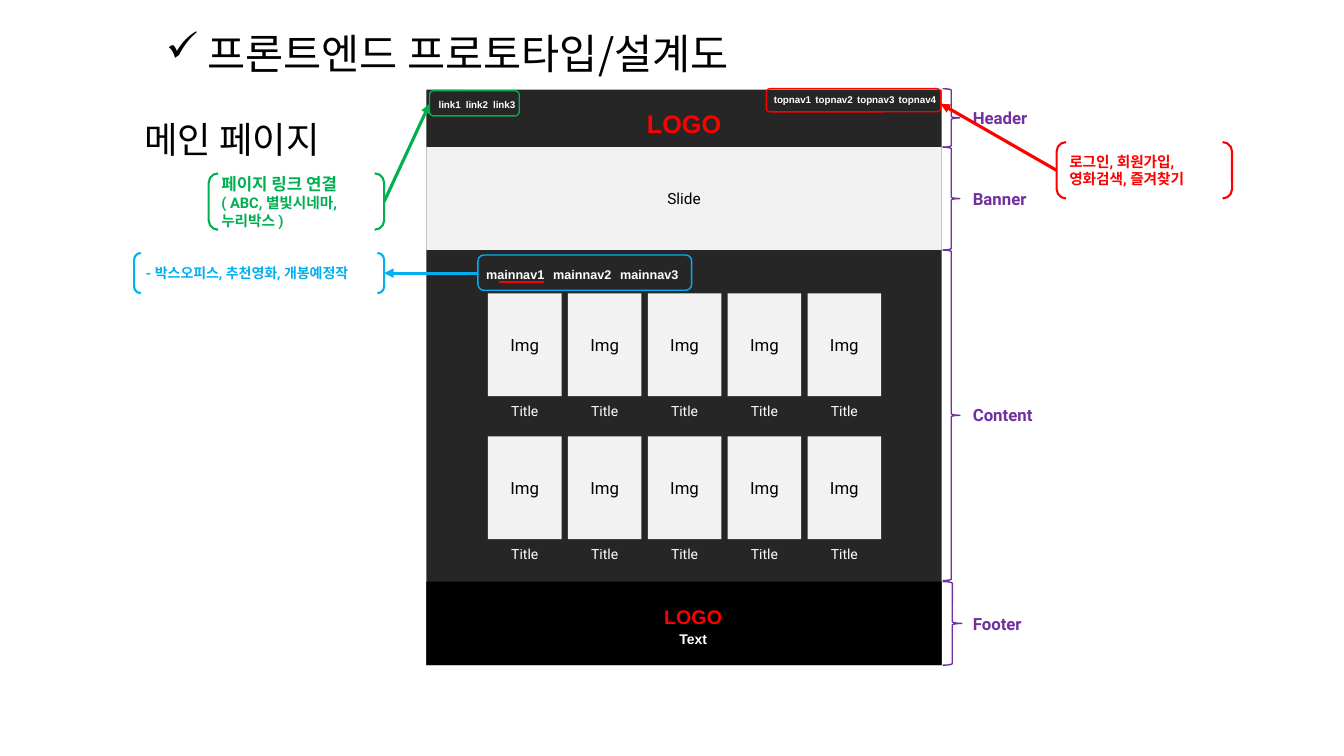
from lxml.etree import SubElement as Sub
from pptx import Presentation
from pptx.dml.color import RGBColor as Rgb
from pptx.enum.shapes import MSO_CONNECTOR as Conn, MSO_SHAPE as Kind
from pptx.enum.text import MSO_ANCHOR as Anchor, PP_ALIGN as Align
from pptx.oxml.ns import qn
from pptx.util import Inches, Pt

WHITE, BLACK, DARK, PALE = "FFFFFF", "000000", "262626", "F2F2F2"
RED, GREEN, BLUE, PURPLE = "FF0000", "00B050", "00B0F0", "7030A0"
HANGUL = "Noto Sans CJK KR"


def color(code):
    """Turn a hex string into a colour."""
    return Rgb.from_string(code)


def write(frame, lines, font, tint, bold=False, align=Align.LEFT):
    """Fill a text frame with (text, size) lines."""
    frame.word_wrap = True
    for i, (text, size) in enumerate(lines):
        para = frame.add_paragraph() if i else frame.paragraphs[0]
        para.alignment = align
        run = para.add_run()
        run.text = text
        run.font.size = Pt(size)
        run.font.bold = bold
        run.font.name = font
        run.font.color.rgb = color(tint)
        Sub(run.font._element, qn("a:ea")).set("typeface", HANGUL)


def label(slide, box, text, size, font, tint, bold=False, align=Align.LEFT):
    """Add a one-line text box."""
    frame = slide.shapes.add_textbox(*map(Inches, box)).text_frame
    if align == Align.CENTER:
        frame.margin_left = frame.margin_right = 0
    write(frame, [(text, size)], font, tint, bold, align)
    return frame


def block(slide, box, fill, text="", size=12):
    """Add a filled rectangle with an optional centred caption."""
    shape = slide.shapes.add_shape(Kind.RECTANGLE, *map(Inches, box))
    shape.shadow.inherit = False
    shape.fill.solid()
    shape.fill.fore_color.rgb = color(fill)
    shape.line.fill.background()
    if text:
        shape.text_frame.vertical_anchor = Anchor.MIDDLE
        write(shape.text_frame, [(text, size)], "Roboto", BLACK, align=Align.CENTER)


def outline(slide, kind, box, tint, width=1, lines=()):
    """Add an unfilled shape with an optional bold note inside."""
    shape = slide.shapes.add_shape(kind, *map(Inches, box))
    shape.shadow.inherit = False
    shape.fill.background()
    shape.line.color.rgb = color(tint)
    shape.line.width = Pt(width)
    if lines:
        shape.text_frame.vertical_anchor = Anchor.MIDDLE
        write(shape.text_frame, lines, "Roboto", tint, True)


def stroke(slide, start, end, tint, width=2.25, arrow=True):
    """Draw a straight line, with an arrowhead at its end if wanted."""
    line = slide.shapes.add_connector(Conn.STRAIGHT, *map(Inches, start + end))
    line.line.color.rgb = color(tint)
    line.line.width = Pt(width)
    if arrow:
        Sub(line.line._get_or_add_ln(), qn("a:tailEnd")).set("type", "triangle")
    Sub(line._element.spPr, qn("a:effectLst"))


def title(slide):
    """Add the check-marked heading and the page name."""
    frame = label(slide, (1.06, 0.08, 6.76, 0.95), "프론트엔드 프로토타입/설계도",
                  29.6, HANGUL, BLACK, align=Align.CENTER)
    frame.vertical_anchor = Anchor.MIDDLE
    para = frame.paragraphs[0]
    props = para._p.get_or_add_pPr()
    props.set("marL", str(Inches(0.41)))
    props.set("indent", str(-Inches(0.41)))
    Sub(props, qn("a:buChar")).set("char", "✓")
    para.line_spacing = 0.9
    label(slide, (1.33, 1.11, 3.58, 0.54), "메인 페이지", 26, HANGUL, BLACK)


def menu(slide, name, count, box, step, size):
    """Add a row of numbered menu entries."""
    left, top, width, height = box
    for i in range(count):
        label(slide, (left + i * step, top, width, height), f"{name}{i + 1}",
              size, "Arial", WHITE, True, Align.CENTER)


def cards(slide):
    """Lay out the two rows of image cards."""
    for row in range(2):
        for col in range(5):
            left, top = 4.84 + col * 3.17 / 4, 2.91 + row * 1.42
            block(slide, (left, top, 0.73, 1.02), PALE, "Img")
            label(slide, (left, top + 1.03, 0.73, 0.27), "Title", 10,
                  "Roboto", WHITE, align=Align.CENTER)


def page(slide):
    """Draw the web page mock-up."""
    block(slide, (4.23, 0.89, 5.11, 5.71), DARK)
    block(slide, (4.23, 1.46, 5.11, 1.02), PALE, "Slide", 11)
    block(slide, (4.23, 5.77, 5.11, 0.83), BLACK)
    for box, text, size, tint in (
        ((6.23, 1.03, 1.11, 0.4), "LOGO", 18, RED),
        ((6.49, 5.95, 0.77, 0.26), "LOGO", 14, RED),
        ((6.49, 6.21, 0.77, 0.21), "Text", 10, WHITE),
    ):
        label(slide, box, text, size, "Arial", tint, True, Align.CENTER)
    cards(slide)
    menu(slide, "mainnav", 3, (4.49, 2.6, 1.24, 0.25), 0.665, 9)
    menu(slide, "topnav", 4, (7.45, 0.88, 0.82, 0.22), 0.413, 7)
    menu(slide, "link", 3, (4.1, 0.93, 0.72, 0.22), 0.27, 7)


def parts(slide):
    """Brace and name each part of the page."""
    for name, top, high, wide in (
        ("Header", 0.88, 0.58, 0.17),
        ("Banner", 1.46, 1.02, 0.17),
        ("Content", 2.48, 3.28, 0.17),
        ("Footer", 5.77, 0.83, 0.19),
    ):
        outline(slide, Kind.RIGHT_BRACE, (9.35, top, wide, high), PURPLE)
        label(slide, (9.55, top + high / 2 - 0.15, 0.96, 0.3), name, 12,
              "Roboto", PURPLE, True)


def notes(slide):
    """Mark the menus and tie each to its bracketed note."""
    for tint, mark, start, end, box, lines in (
        (GREEN, (4.26, 0.9, 0.89, 0.25), (3.81, 2), (4.26, 1.03),
         (2.07, 1.72, 1.74, 0.56),
         [("페이지 링크 연결", 12), ("( ABC, 별빛시네마, 누리박스 )", 10.5)]),
        (BLUE, (4.74, 2.53, 2.12, 0.35), (4.74, 2.71), (3.81, 2.71),
         (1.33, 2.51, 2.48, 0.4),
         [("- 박스오피스, 추천영화, 개봉예정작", 10)]),
        (RED, (7.6, 0.88, 1.73, 0.23), (10.48, 1.69), (9.33, 1.03),
         (10.48, 1.41, 1.74, 0.56),
         [("로그인, 회원가입, 영화검색, 즐겨찾기", 10.5)]),
    ):
        outline(slide, Kind.ROUNDED_RECTANGLE, mark, tint)
        stroke(slide, start, end, tint)
        outline(slide, Kind.DOUBLE_BRACKET, box, tint, 1.5, lines)
    stroke(slide, (4.95, 2.8), (5.4, 2.8), RED, 1.5, False)


def main():
    """Build the slide and save it."""
    deck = Presentation()
    deck.slide_width, deck.slide_height = Inches(13.33), Inches(7.5)
    slide = deck.slides.add_slide(deck.slide_layouts[6])
    title(slide)
    page(slide)
    parts(slide)
    notes(slide)
    deck.save("out.pptx")


if __name__ == "__main__":
    main()
